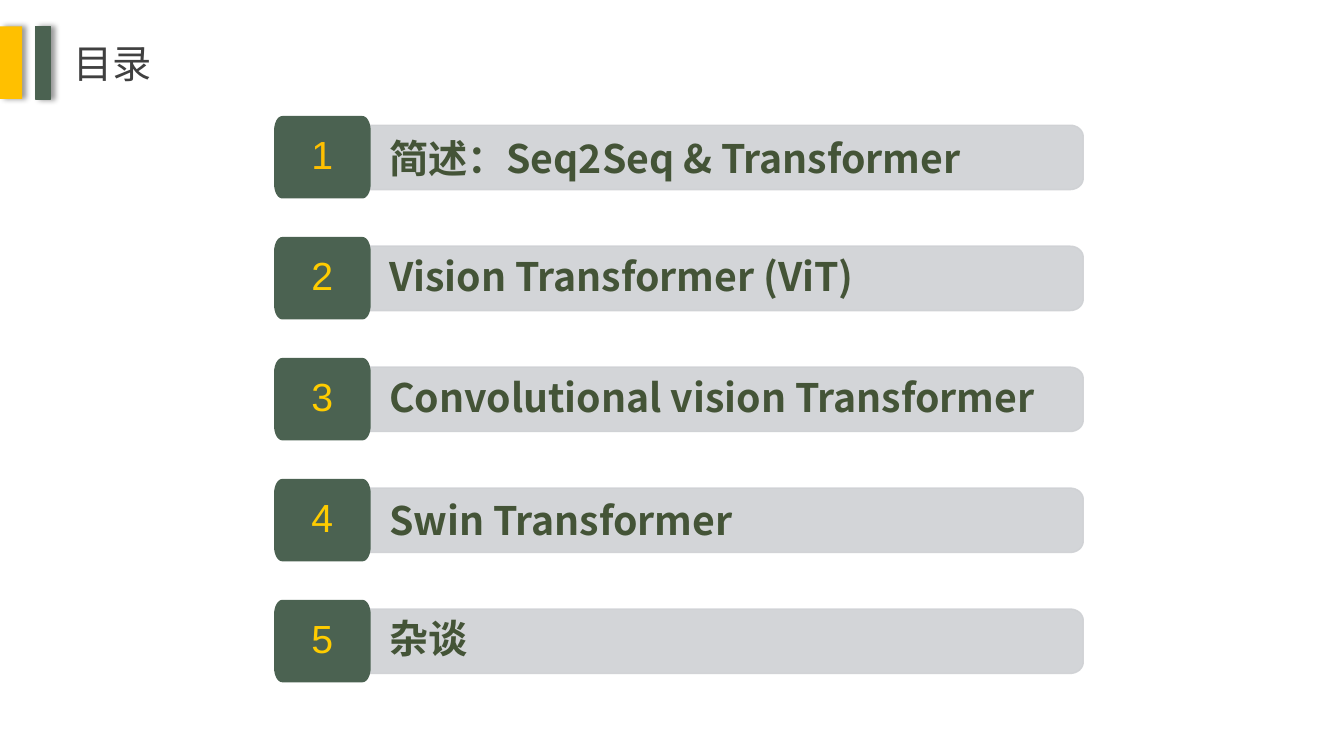
from math import cos, pi, sin

from lxml import etree
from pptx import Presentation
from pptx.dml.color import RGBColor
from pptx.enum.shapes import MSO_SHAPE
from pptx.enum.text import MSO_ANCHOR, MSO_AUTO_SIZE, PP_ALIGN
from pptx.oxml.ns import qn
from pptx.util import Inches, Pt

RECTANGLE = MSO_SHAPE.RECTANGLE
MIDDLE = MSO_ANCHOR.MIDDLE
NO_FIT = MSO_AUTO_SIZE.NONE
LEFT, CENTER = PP_ALIGN.LEFT, PP_ALIGN.CENTER

GREEN, YELLOW, GOLD = "4B6251", "FFC000", "FFCC00"
GREY, TITLE_GREY, ITEM_GREEN = "CFD1D4", "404040", "445437"
ITEMS = [
    ("简述：Seq2Seq & Transformer", 1.0),
    ("Vision Transformer (ViT)", 0.9),
    ("Convolutional vision Transformer", 0.9),
    ("Swin Transformer", 1.0),
    ("杂谈", 0.9),
]
FIRST_ROW, ROW_STEP = 3.87, 4


def color(value):
    return RGBColor.from_string(value)


class ContentsPage:
    """Draws the parts of a contents page on a grid of 40 columns and 25 rows."""

    columns, rows = 40, 25
    text_font, number_font, size = "Noto Sans CJK SC", "Arial", 28

    def __init__(self, deck):
        self.page = deck.slides.add_slide(deck.slide_layouts[5])
        self.column = deck.slide_width / self.columns
        self.row = deck.slide_height / self.rows

    def place(self, left, top, width, height):
        return (round(left * self.column), round(top * self.row),
                round(width * self.column), round(height * self.row))

    def paint(self, shape, fill, line_width, opacity):
        shape.shadow.inherit = False
        shape.fill.solid()
        shape.fill.fore_color.rgb = color(fill)
        if line_width:
            shape.line.color.rgb = color(fill)
            shape.line.width = Pt(line_width)
        else:
            shape.line.fill.background()
        if opacity < 100:
            for tone in shape._element.spPr.iter(qn("a:srgbClr")):
                etree.SubElement(tone, qn("a:alpha"), val=str(opacity * 1000))

    def label(self, shape, text, font, tone, align=LEFT, bold=False,
              spacing=1.0, margins=(0.1, 0.05, 0.1, 0.05), wrap=True):
        frame = shape.text_frame
        frame.word_wrap = wrap
        frame.auto_size = NO_FIT
        frame.vertical_anchor = MIDDLE
        (frame.margin_left, frame.margin_top,
         frame.margin_right, frame.margin_bottom) = map(Inches, margins)
        para = frame.paragraphs[0]
        para.alignment = align
        para.line_spacing = spacing
        span = para.add_run()
        span.text = text
        span.font.size = Pt(self.size)
        span.font.bold = bold
        span.font.color.rgb = color(tone)
        span.font.name = font
        etree.SubElement(span.font._element, qn("a:ea"), typeface=font)

    def title(self, text, *cells):
        title = self.page.shapes.title
        title.left, title.top, title.width, title.height = self.place(*cells)
        self.label(title, text, self.text_font, TITLE_GREY, wrap=False)

    def accent(self, cells, fill, line_width):
        bar = self.page.shapes.add_shape(RECTANGLE, *self.place(*cells))
        self.paint(bar, fill, line_width, 100)
        effects = bar._element.spPr.find(qn("a:effectLst"))
        shadow = etree.SubElement(
            effects, qn("a:outerShdw"), blurRad=str(Pt(4)), dist=str(Pt(3)),
            dir="0", algn="l", rotWithShape="0")
        tone = etree.SubElement(shadow, qn("a:srgbClr"), val="000000")
        etree.SubElement(tone, qn("a:alpha"), val="40000")

    def rounded(self, cells, corner, left_corners, fill, line_width, opacity=100):
        left, top, width, height = self.place(*cells)
        across, down = corner[0] * self.column, corner[1] * self.row
        points = []
        for quarter in range(4):
            on_right, at_bottom = quarter in (0, 3), quarter < 2
            if not (on_right or left_corners):
                points.append((left, top + height * at_bottom))
                continue
            center_x = left + width - across if on_right else left + across
            center_y = top + height - down if at_bottom else top + down
            for step in range(9):
                angle = (quarter + step / 8) * pi / 2
                points.append((round(center_x + across * cos(angle)),
                               round(center_y + down * sin(angle))))
        outline = self.page.shapes.build_freeform(*points[0])
        outline.add_line_segments(points[1:], close=True)
        shape = outline.convert_to_shape()
        self.paint(shape, fill, line_width, opacity)
        return shape

    def item(self, top, number, text, spacing, number_tone):
        bar = self.rounded((10.98, top + 0.27, 21.26, 2.13), (0.39, 0.37),
                           False, GREY, 1, 90)
        self.label(bar, text, self.text_font, ITEM_GREEN, bold=True,
                   spacing=spacing, margins=(0.2, 0.13, 0.23, 0.13))
        badge = self.rounded((8.19, top, 2.81, 2.66), (0.22, 0.44),
                             True, GREEN, 1.5)
        self.label(badge, str(number), self.number_font, number_tone, CENTER,
                   spacing=0.9, margins=(0.15, 0.09, 0.15, 0.09))


def main():
    deck = Presentation()
    deck.slide_width, deck.slide_height = Inches(13.33), Inches(7.5)
    contents = ContentsPage(deck)
    contents.title("目录", 1.89, 1.13, 2.97, 1.9)
    contents.accent((0, 0.87, 0.66, 2.4), YELLOW, 0)
    contents.accent((1.05, 0.87, 0.45, 2.4), GREEN, 1)
    for index, (text, spacing) in enumerate(ITEMS):
        contents.item(FIRST_ROW + index * ROW_STEP, index + 1, text, spacing,
                      GOLD if index else YELLOW)
    deck.save("out.pptx")


if __name__ == "__main__":
    main()
